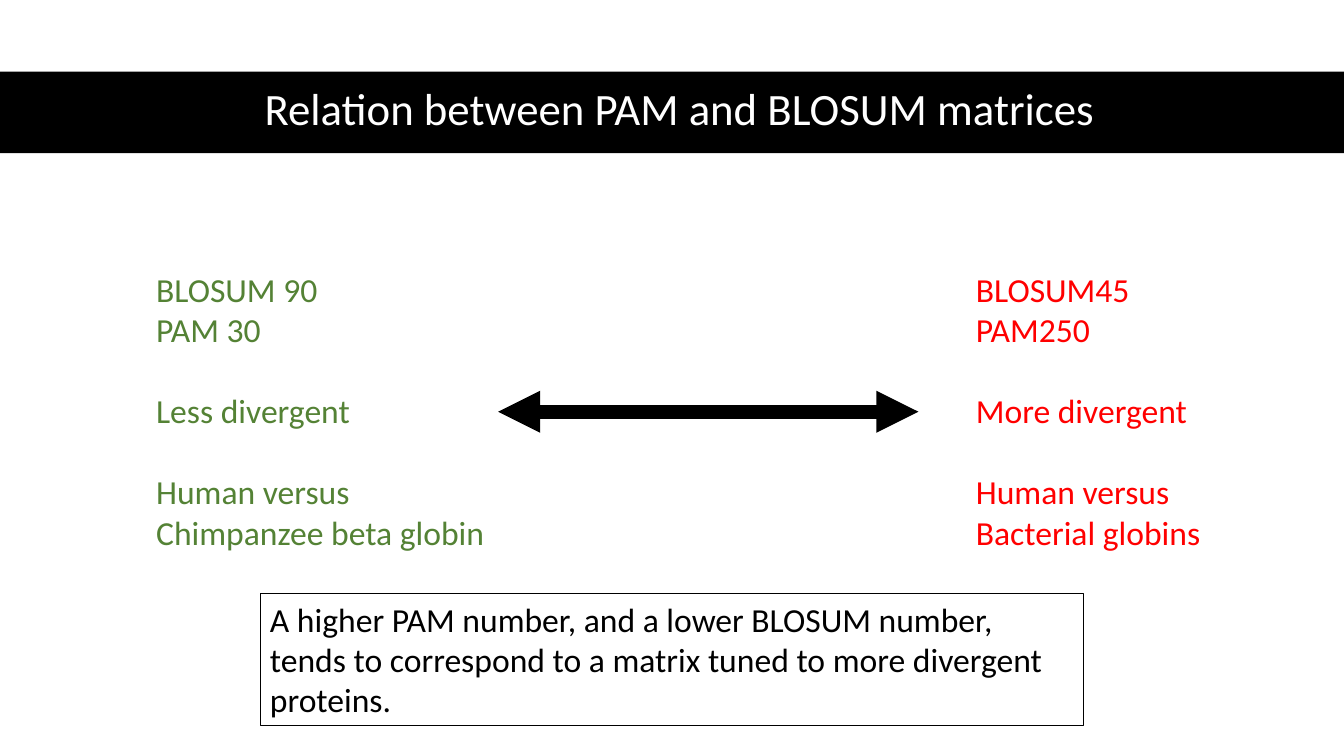
from dataclasses import dataclass

import pptx
import pptx.dml.color
import pptx.enum.shapes
import pptx.enum.text
import pptx.oxml
import pptx.oxml.ns
import pptx.util
from pptx.shapes.autoshape import Shape
from pptx.shapes.connector import Connector
from pptx.slide import Slide
from pptx.text.text import TextFrame

WIDTH = pptx.util.Inches(13.33)
HEIGHT = pptx.util.Inches(7.5)
FONT = "Calibri"
BODY_SIZE = 24
GROUP_GAP = 29
COLORS = {
    "black": "000000",
    "white": "FFFFFF",
    "close": "548235",
    "distant": "FF0000",
}


@dataclass(frozen=True)
class Area:
    """Percentages of the slide's width and height."""

    left: float
    top: float
    width: float
    height: float

    def box(self) -> tuple[int, int, int, int]:
        return (across(self.left), down(self.top),
                across(self.width), down(self.height))


@dataclass(frozen=True)
class Extreme:
    area: Area
    color: str
    groups: tuple[tuple[str, ...], ...]


def across(percent: float) -> int:
    return round(WIDTH * percent / 100)


def down(percent: float) -> int:
    return round(HEIGHT * percent / 100)


def rgb(color: str) -> pptx.dml.color.RGBColor:
    return pptx.dml.color.RGBColor.from_string(COLORS[color])


def write(frame: TextFrame, groups: tuple[tuple[str, ...], ...],
          color: str, size: float) -> None:
    paragraph = frame.paragraphs[0]
    for group_index, group in enumerate(groups):
        for line_index, line in enumerate(group):
            if group_index or line_index:
                paragraph = frame.add_paragraph()
            if group_index and not line_index:
                paragraph.space_before = pptx.util.Pt(GROUP_GAP)
            run = paragraph.add_run()
            run.text = line
            run.font.name = FONT
            run.font.size = pptx.util.Pt(size)
            run.font.color.rgb = rgb(color)


def add_heading(slide: Slide, text: str, band_area: Area, text_area: Area) -> None:
    heading = slide.shapes.title
    heading.left, heading.top, heading.width, heading.height = text_area.box()
    frame = heading.text_frame
    frame.word_wrap = True
    frame.auto_size = pptx.enum.text.MSO_AUTO_SIZE.NONE
    frame.vertical_anchor = pptx.enum.text.MSO_ANCHOR.MIDDLE
    write(frame, ((text,),), "white", 32)
    frame.paragraphs[0].alignment = pptx.enum.text.PP_ALIGN.CENTER
    frame.paragraphs[0].line_spacing = 0.9

    band = slide.shapes.add_shape(
        pptx.enum.shapes.MSO_SHAPE.RECTANGLE, *band_area.box())
    band.shadow.inherit = False
    band.fill.solid()
    band.fill.fore_color.rgb = rgb("black")
    band.line.fill.background()
    heading.element.addprevious(band.element)


def add_extreme(slide: Slide, extreme: Extreme) -> Shape:
    column = slide.shapes.add_textbox(*extreme.area.box())
    column.text_frame.word_wrap = False
    column.text_frame.auto_size = pptx.enum.text.MSO_AUTO_SIZE.SHAPE_TO_FIT_TEXT
    write(column.text_frame, extreme.groups, extreme.color, BODY_SIZE)
    return column


def add_divergence_arrow(slide: Slide, origin: Shape, end_column: float) -> Connector:
    middle = origin.top + origin.height // 2
    arrow = slide.shapes.add_connector(
        pptx.enum.shapes.MSO_CONNECTOR.STRAIGHT,
        origin.left + origin.width, middle, across(end_column), middle)
    arrow.begin_connect(origin, 3)
    arrow.line.color.rgb = rgb("black")
    arrow.line.width = pptx.util.Pt(10)
    outline = arrow.line._get_or_add_ln()
    for end in ("headEnd", "tailEnd"):
        outline.append(pptx.oxml.parse_xml(
            f'<a:{end} {pptx.oxml.ns.nsdecls("a")} type="triangle"/>'))
    arrow.element.spPr.append(pptx.oxml.parse_xml(
        f'<a:effectLst {pptx.oxml.ns.nsdecls("a")}/>'))
    return arrow


def add_conclusion(slide: Slide, text: str, area: Area) -> None:
    conclusion = slide.shapes.add_textbox(*area.box())
    conclusion.line.color.rgb = rgb("black")
    conclusion.line.width = pptx.util.Pt(0.75)
    conclusion.text_frame.word_wrap = True
    conclusion.text_frame.auto_size = pptx.enum.text.MSO_AUTO_SIZE.SHAPE_TO_FIT_TEXT
    write(conclusion.text_frame, ((text,),), "black", BODY_SIZE)


LESS_DIVERGENT = Extreme(
    Area(10.88, 34.93, 26.18, 39.07), "close",
    (("BLOSUM 90", "PAM 30"),
     ("Less divergent",),
     ("Human versus", "Chimpanzee beta globin")))
MORE_DIVERGENT = Extreme(
    Area(71.87, 34.93, 18.38, 39.07), "distant",
    (("BLOSUM45", "PAM250"),
     ("More divergent",),
     ("Human versus", "Bacterial globins")))


def main() -> None:
    deck = pptx.Presentation()
    deck.slide_width, deck.slide_height = WIDTH, HEIGHT
    slide = deck.slides.add_slide(deck.slide_layouts.get_by_name("Title Only"))
    add_heading(slide, "Relation between PAM and BLOSUM matrices",
                Area(0, 9.47, 100, 10.8), Area(4.58, 9.33, 91.97, 10.8))
    less_divergent = add_extreme(slide, LESS_DIVERGENT)
    add_divergence_arrow(slide, less_divergent, 68.34)
    add_extreme(slide, MORE_DIVERGENT)
    add_conclusion(
        slide,
        "A higher PAM number, and a lower BLOSUM number, tends to correspond "
        "to a matrix tuned to more divergent proteins.",
        Area(19.35, 78.53, 61.29, 17.47))
    deck.save("out.pptx")


if __name__ == "__main__":
    main()
